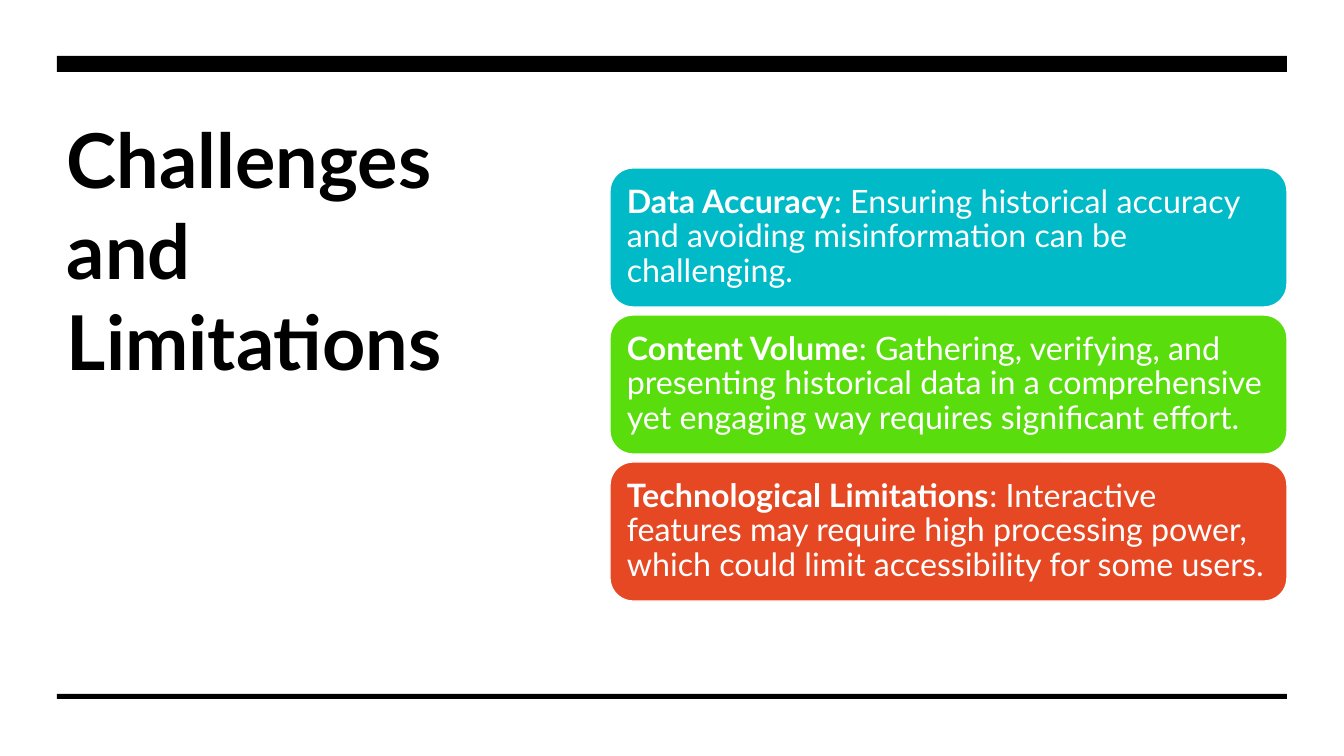
import pptx
import pptx.util
import pptx.dml.color
import pptx.enum.shapes
import pptx.enum.text

PX = 9071.43  # EMU per px, at 100.8 px to the inch
SHAPES = pptx.enum.shapes.MSO_SHAPE
ANCHORS = pptx.enum.text.MSO_ANCHOR


def px(length):
    return pptx.util.Emu(round(length * PX))


def color(value):
    return pptx.dml.color.RGBColor.from_string(value)


deck = pptx.Presentation()
deck.slide_width = px(1344)
deck.slide_height = px(756)
page = deck.slides.add_slide(deck.slide_layouts[6])


def write(box, parts, size, ink, anchor, inset_x, inset_y, spacing=1.0):
    """Fill a box with one left-aligned paragraph of (text, bold) parts."""
    frame = box.text_frame
    frame.word_wrap = True
    frame.vertical_anchor = anchor
    frame.margin_left = frame.margin_right = px(inset_x)
    frame.margin_top = frame.margin_bottom = px(inset_y)
    para = frame.paragraphs[0]
    para.alignment = pptx.enum.text.PP_ALIGN.LEFT
    para.line_spacing = spacing
    for text, bold in parts:
        span = para.add_run()
        span.text = text
        span.font.name = "Lato"
        span.font.size = pptx.util.Pt(size)
        span.font.bold = bold
        span.font.color.rgb = color(ink)


# Title
title = page.shapes.add_textbox(px(57), px(108), px(473), px(371))
write(title, [("Challenges and Limitations", True)], size=54, ink="000000",
      anchor=ANCHORS.TOP, inset_x=10, inset_y=5)

# Thick rule above, thin rule below
for top, height in [(56, 16), (694, 5)]:
    rule = page.shapes.add_shape(SHAPES.RECTANGLE, px(57), px(top), px(1230), px(height))
    rule.shadow.inherit = False
    rule.fill.solid()
    rule.fill.fore_color.rgb = color("000000")
    rule.line.fill.background()

# Stack of challenge cards
CARD_TOP, CARD_PITCH = 168, 147
challenges = [
    ("Data Accuracy",
     ": Ensuring historical accuracy and avoiding misinformation can be challenging.",
     "00BAC8"),
    ("Content Volume",
     ": Gathering, verifying, and presenting historical data in a comprehensive "
     "yet engaging way requires significant effort.",
     "59DD0C"),
    ("Technological Limitations",
     ": Interactive features may require high processing power, "
     "which could limit accessibility for some users.",
     "E64823"),
]
for index, (heading, detail, fill) in enumerate(challenges):
    card = page.shapes.add_shape(SHAPES.ROUNDED_RECTANGLE, px(610),
                                 px(CARD_TOP + index * CARD_PITCH), px(677), px(139))
    card.shadow.inherit = False
    card.fill.solid()
    card.fill.fore_color.rgb = color(fill)
    card.line.color.rgb = color("FFFFFF")
    card.line.width = pptx.util.Pt(1)
    write(card, [(heading, True), (detail, False)], size=23, ink="FFFFFF",
          anchor=ANCHORS.MIDDLE, inset_x=10, inset_y=10, spacing=0.9)

deck.save("out.pptx")
